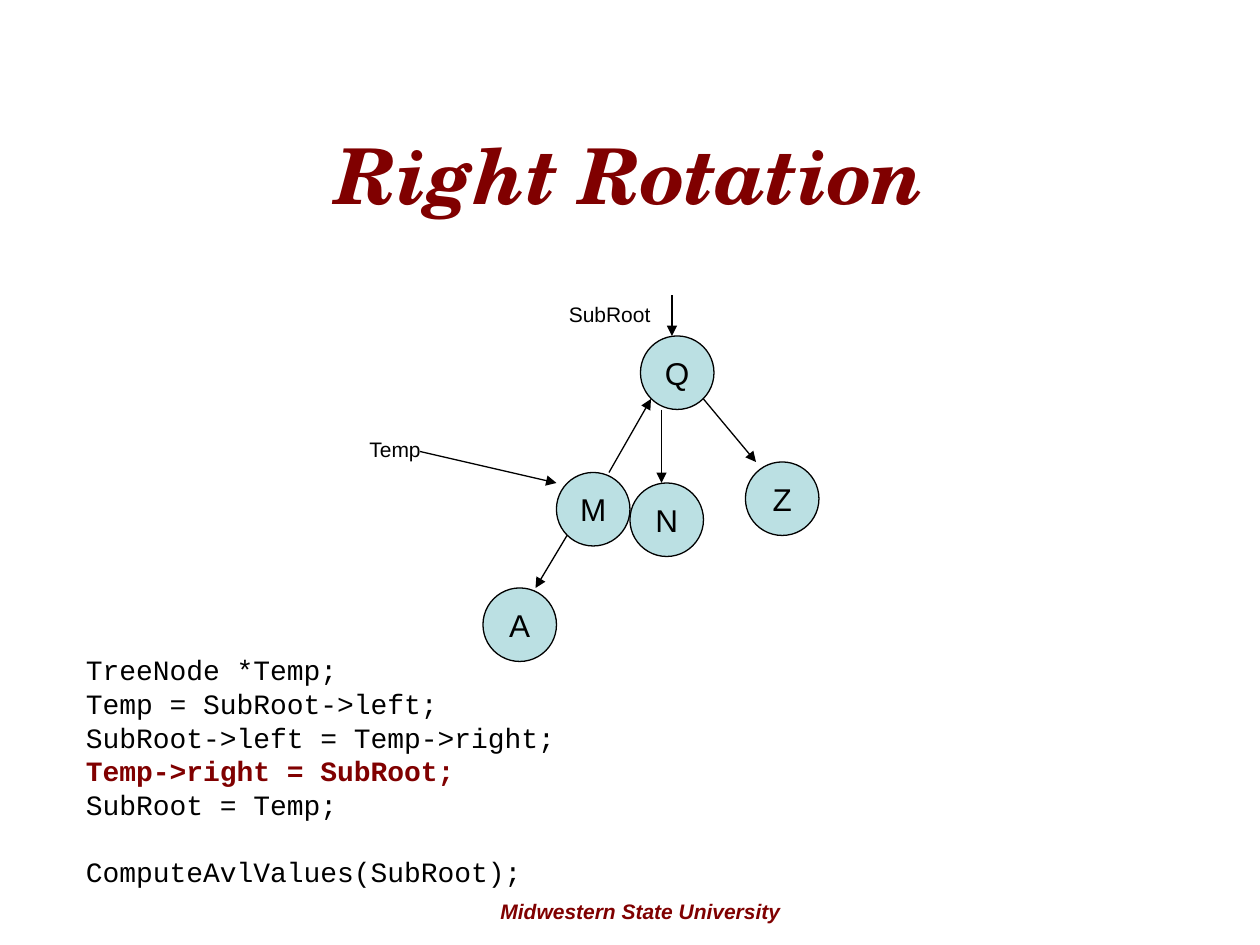
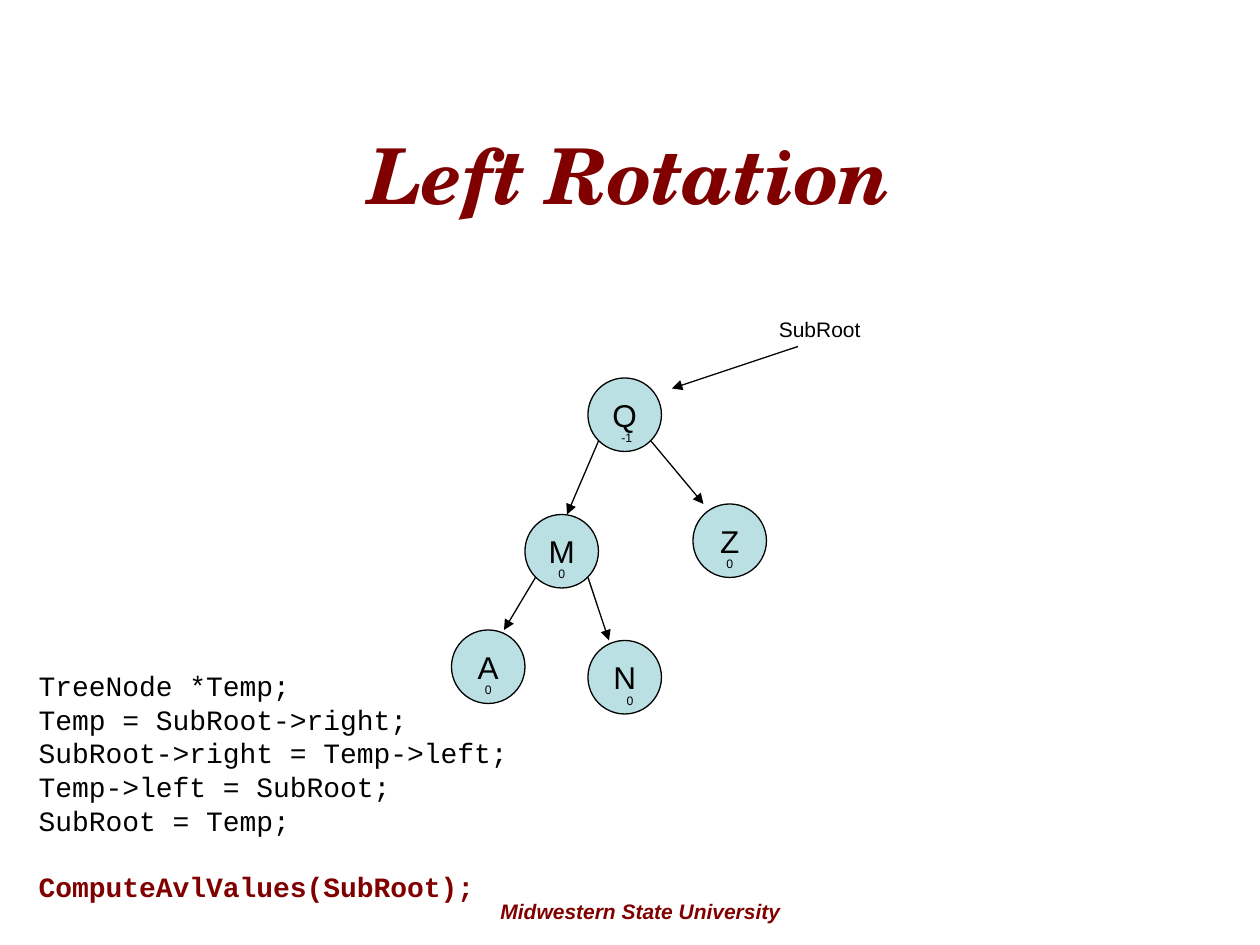
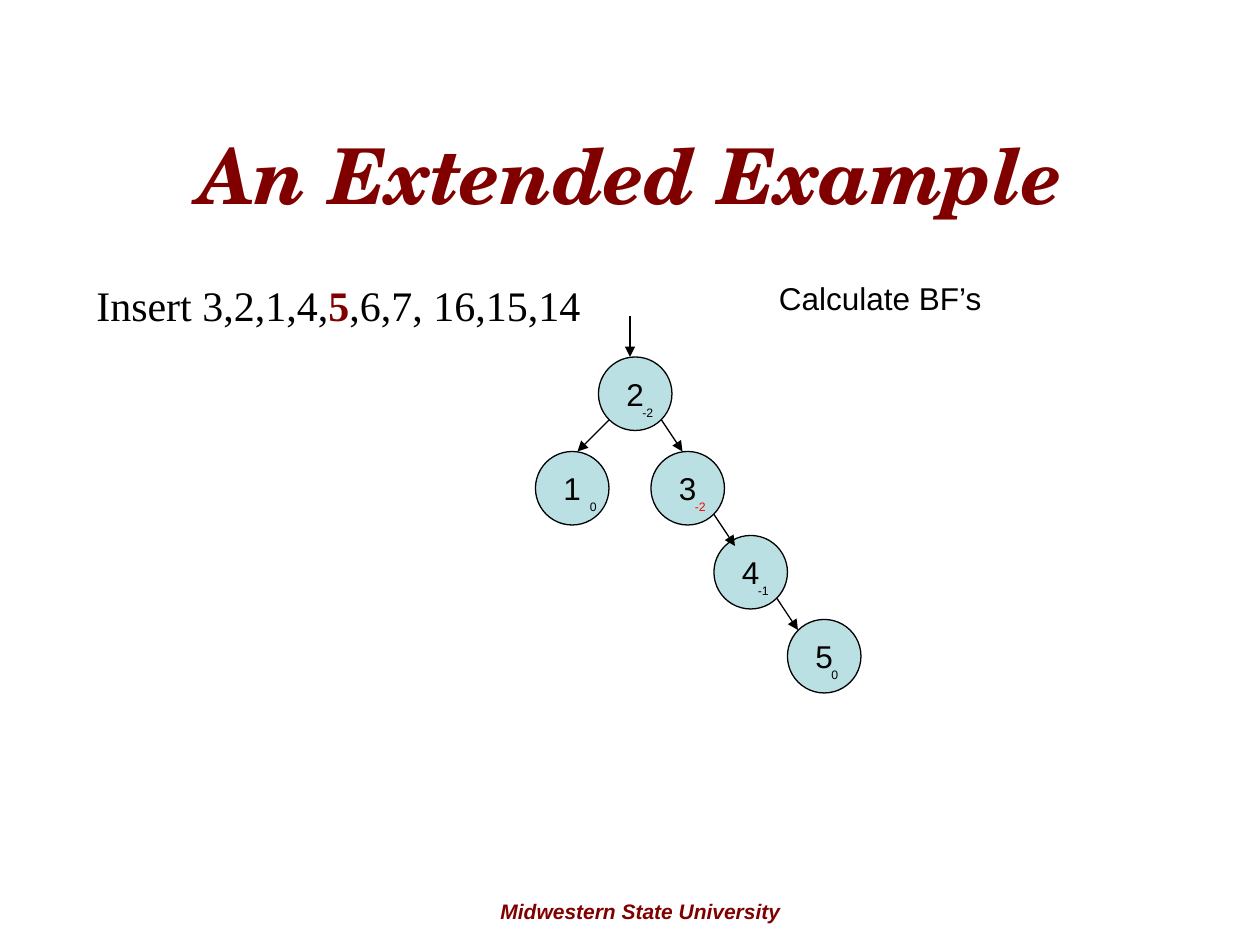
from lxml import etree
from pptx import Presentation
from pptx.dml.color import RGBColor
from pptx.enum import shapes, text
from pptx.oxml import ns
from pptx import util as u

PX = 7620
NODE = 70
BLACK, MAROON, RED, AQUA = "000000", "800000", "FF0000", "BBE0E3"
TITLE = dict(name="TeX Gyre Schola", size=44, color=MAROON, bold=True, italic=True)
FOOTER = dict(name="Arial", size=12, color=MAROON, bold=True, italic=True)
LABEL = dict(name="Arial", size=12, color=BLACK)
HEADING = dict(name="Arial", size=18, color=BLACK)
FACTOR = dict(name="Arial", size=7, color=BLACK)
CODE = dict(name="Courier New", size=16, color=BLACK)
BODY = dict(name="Times New Roman", size=24, color=BLACK)
STRONG = dict(color=MAROON, bold=True)


def px(*values):
    """Turn px lengths into EMU."""
    return [u.Emu(v * PX) for v in values]


def rgb(value):
    """Turn a hex string into a colour."""
    return RGBColor.from_string(value)


def add_run(p, words, fmt):
    """Add a run formatted from a dict."""
    r = p.add_run()
    r.text = words
    for key, value in fmt.items():
        if key == "color":
            r.font.color.rgb = rgb(value)
        else:
            setattr(r.font, key, u.Pt(value) if key == "size" else value)


def add_label(slide, box, runs, align=text.PP_ALIGN.LEFT):
    """Add a one-paragraph text box made of (words, format) runs."""
    tb = slide.shapes.add_textbox(*px(*box))
    tf = tb.text_frame
    tf.word_wrap = True
    tf.auto_size = text.MSO_AUTO_SIZE.SHAPE_TO_FIT_TEXT
    p = tf.paragraphs[0]
    p.alignment = align
    for words, fmt in runs:
        add_run(p, words, fmt)
    return tb


def add_code(slide, box, lines, strong):
    """Add indented code with one strong line and a gap before the last line."""
    tf = add_label(slide, box, []).text_frame
    for i, line in enumerate(lines):
        p = tf.add_paragraph() if i else tf.paragraphs[0]
        pPr = p._p.get_or_add_pPr()
        pPr.set("marL", str(60 * PX))
        pPr.set("indent", "0")
        add_run(p, line, {**CODE, **STRONG} if i == strong else CODE)
    p.space_before = u.Pt(19)


def add_nodes(slide, nodes):
    """Draw the tree nodes from a dict of name to top-left corner."""
    for name, corner in nodes.items():
        sp = slide.shapes.add_shape(shapes.MSO_SHAPE.OVAL, *px(*corner, NODE, NODE))
        sp.shadow.inherit = False
        sp.fill.solid()
        sp.fill.fore_color.rgb = rgb(AQUA)
        sp.line.color.rgb = rgb(BLACK)
        sp.line.width = u.Pt(0.75)
        tf = sp.text_frame
        tf.word_wrap = False
        tf.vertical_anchor = text.MSO_ANCHOR.MIDDLE
        p = tf.paragraphs[0]
        p.alignment = text.PP_ALIGN.CENTER
        add_run(p, name, HEADING)


def add_arrow(slide, start, end):
    """Draw a thin black arrow between two points."""
    line = slide.shapes.add_connector(shapes.MSO_CONNECTOR.STRAIGHT, *px(*start, *end))
    line.line.color.rgb = rgb(BLACK)
    line.line.width = u.Pt(0.75)
    spPr = line.element.spPr
    etree.SubElement(spPr.find(ns.qn("a:ln")), ns.qn("a:tailEnd"), type="triangle")
    etree.SubElement(spPr, ns.qn("a:effectLst"))


def add_edges(slide, nodes, edges):
    """Draw (parent, child, dx, dy) edges ending at an offset inside the child."""
    for parent, child, dx, dy in edges:
        (x, y), (cx, cy) = nodes[parent], nodes[child]
        side = 10 if cx < x else NODE - 10
        add_arrow(slide, (x + side, y + 60), (cx + dx, cy + dy))


def add_factors(slide, nodes, factors):
    """Write (node, balance factor, dx, dy, colour) inside the nodes."""
    for name, factor, dx, dy, color in factors:
        x, y = nodes[name]
        add_label(slide, (x + dx, y + dy, 40, 26), [(factor, {**FACTOR, "color": color})])


def add_slide(prs, title):
    """Add a slide with the shared title style."""
    slide = prs.slides.add_slide(prs.slide_layouts[5])
    sp = slide.shapes.title
    sp.left, sp.top, sp.width, sp.height = px(60, 90, 1080, 150)
    tf = sp.text_frame
    tf.auto_size = text.MSO_AUTO_SIZE.NONE
    tf.vertical_anchor = text.MSO_ANCHOR.MIDDLE
    p = tf.paragraphs[0]
    p.alignment = text.PP_ALIGN.CENTER
    add_run(p, title, TITLE)
    return slide


def move_footer_to_layout(slide):
    """Put the footer on the layout that all slides share."""
    tb = add_label(slide, (420, 850, 380, 36),
                   [("Midwestern State University", FOOTER)], text.PP_ALIGN.CENTER)
    slide.slide_layout.shapes.element.append(tb.element)


def right_rotation(prs):
    """Build the right rotation slide."""
    slide = add_slide(prs, "Right Rotation")
    move_footer_to_layout(slide)
    nodes = {"Q": (610, 320), "M": (530, 450), "A": (460, 560),
             "N": (600, 460), "Z": (710, 440)}
    add_nodes(slide, nodes)
    add_edges(slide, nodes, [("M", "A", 50, 0), ("Q", "Z", 10, 0)])
    for start, end in [((630, 390), (630, 460)), ((580, 450), (620, 380)),
                       ((400, 430), (530, 460)), ((640, 281), (640, 320))]:
        add_arrow(slide, start, end)
    add_label(slide, (340, 410, 80, 36), [("Temp", LABEL)])
    add_label(slide, (530, 281, 120, 36), [("SubRoot", LABEL)])
    add_code(slide, (10, 616, 600, 236), [
        "TreeNode *Temp;", "Temp = SubRoot->left;", "SubRoot->left = Temp->right;",
        "Temp->right = SubRoot;", "SubRoot = Temp;", "ComputeAvlValues(SubRoot);"], 3)


def left_rotation(prs):
    """Build the left rotation slide."""
    slide = add_slide(prs, "Left Rotation")
    nodes = {"Q": (560, 360), "M": (500, 490), "A": (430, 600),
             "N": (560, 610), "Z": (660, 480)}
    add_nodes(slide, nodes)
    add_edges(slide, nodes, [("Q", "M", 40, 0), ("M", "A", 50, 0),
                             ("M", "N", 20, 0), ("Q", "Z", 10, 0)])
    add_arrow(slide, (760, 330), (640, 370))
    add_code(slide, (-35, 631, 625, 269), [
        "TreeNode *Temp;", "Temp = SubRoot->right;", "SubRoot->right = Temp->left;",
        "Temp->left = SubRoot;", "SubRoot = Temp;", "ComputeAvlValues(SubRoot);"], 5)
    add_factors(slide, nodes, [
        ("A", "0", 20, 44, BLACK), ("N", "0", 25, 44, BLACK), ("M", "0", 20, 43, BLACK),
        ("Z", "0", 20, 44, BLACK), ("Q", "-1", 20, 44, BLACK)])
    add_label(slide, (730, 296, 120, 36), [("SubRoot", LABEL)])


def extended_example(prs):
    """Build the extended example slide."""
    slide = add_slide(prs, "An Extended Example")
    add_label(slide, (80, 260, 850, 60), [
        ("Insert 3,2,1,4,", BODY), ("5", {**BODY, **STRONG}), (",6,7, 16,15,14", BODY)])
    add_label(slide, (730, 260, 400, 48), [("Calculate BF’s", HEADING)])
    nodes = {"1": (510, 430), "2": (570, 340), "3": (620, 430),
             "4": (680, 510), "5": (750, 590)}
    add_nodes(slide, nodes)
    add_edges(slide, nodes, [("2", "1", 40, 0), ("2", "3", 30, 0),
                             ("3", "4", 20, 10), ("4", "5", 10, 10)])
    add_arrow(slide, (600, 301), (600, 340))
    add_factors(slide, nodes, [
        ("1", "0", 40, 40, BLACK), ("2", "-2", 30, 40, BLACK), ("3", "-2", 30, 40, RED),
        ("4", "-1", 30, 40, BLACK), ("5", "0", 30, 40, BLACK)])


def main():
    """Build and save the presentation."""
    prs = Presentation()
    prs.slide_width, prs.slide_height = px(1200, 900)
    right_rotation(prs)
    left_rotation(prs)
    extended_example(prs)
    prs.save("out.pptx")


if __name__ == "__main__":
    main()
